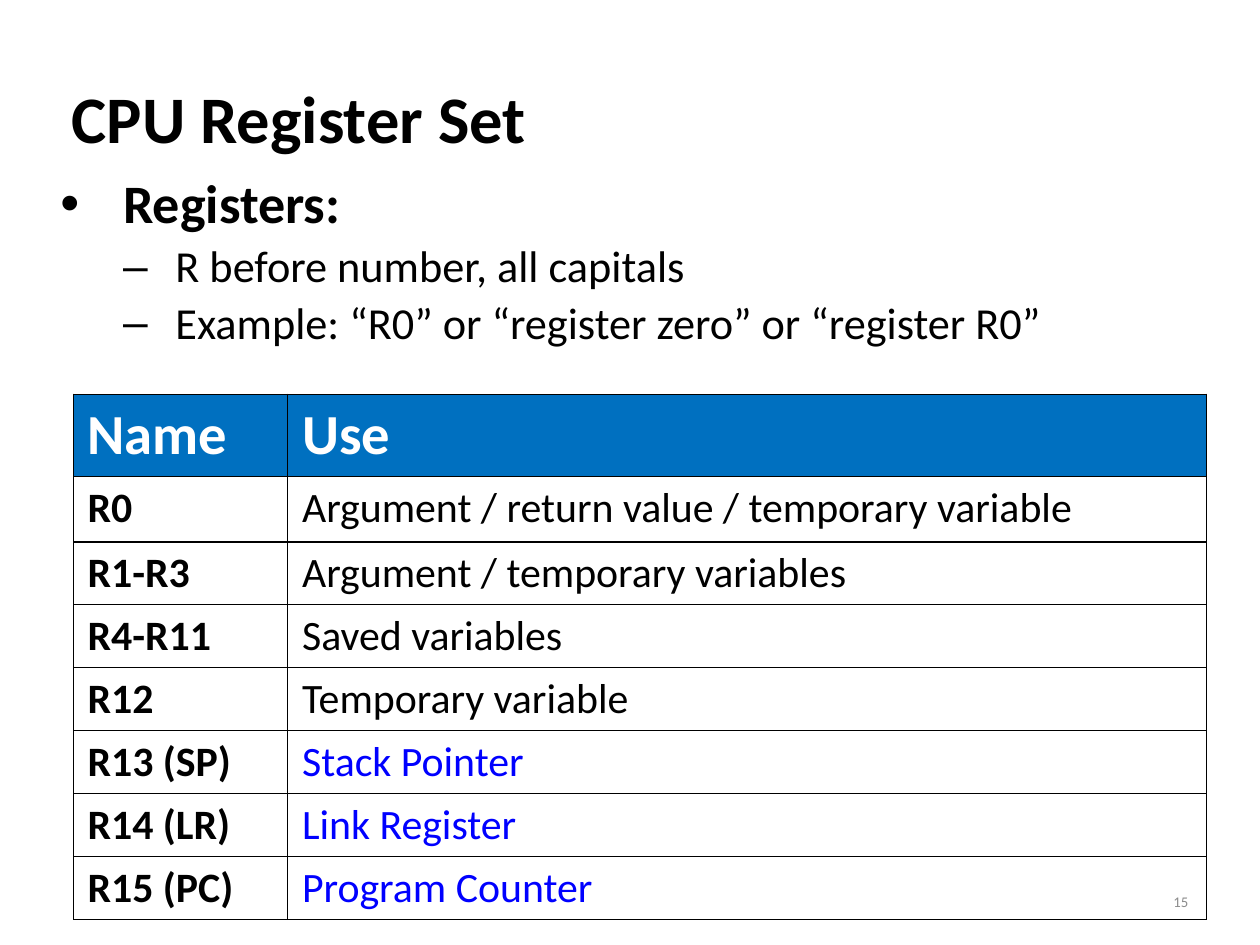
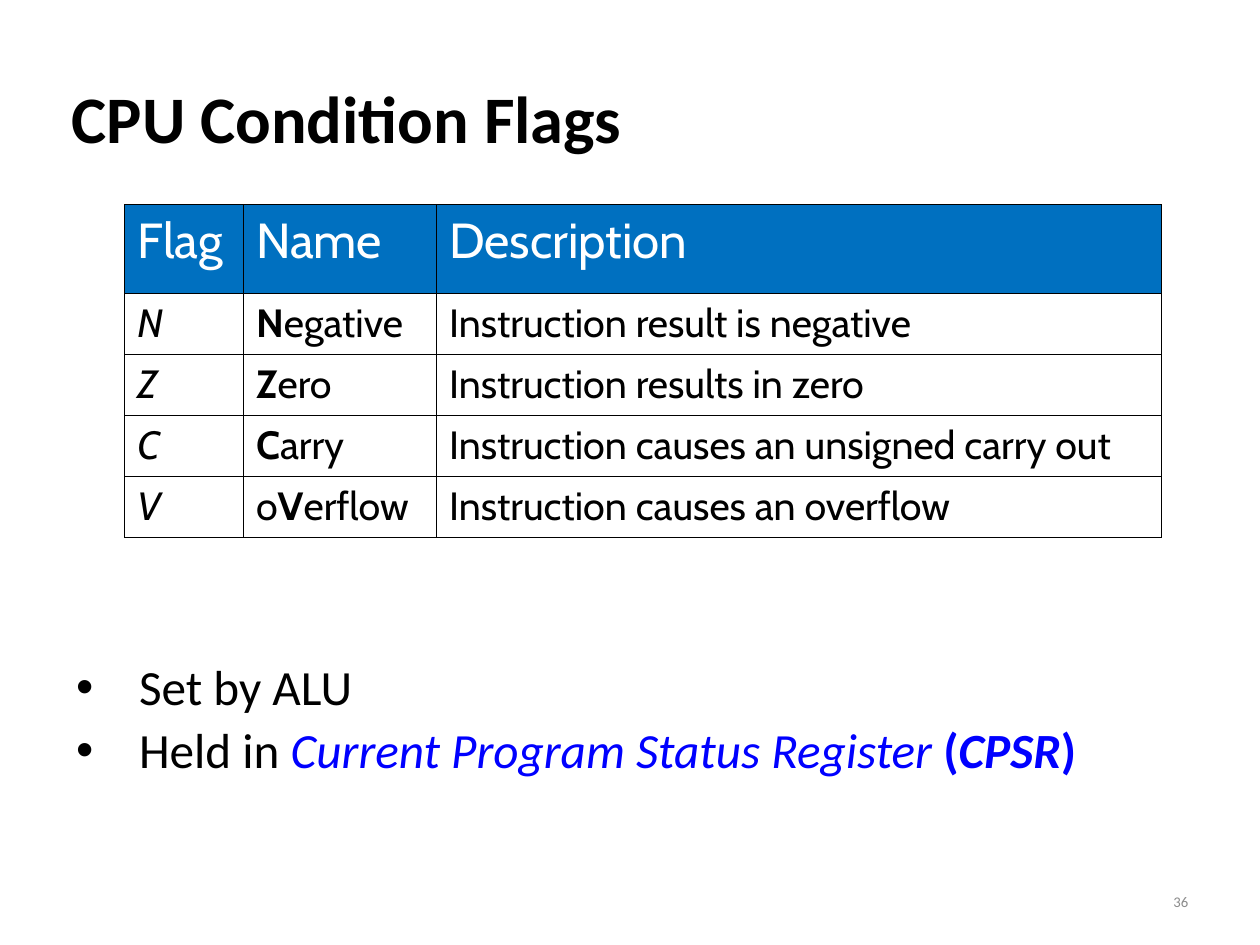
from dataclasses import dataclass
from typing import Optional

from lxml.etree import SubElement
from pptx import Presentation
from pptx.dml.color import RGBColor
from pptx.enum.text import MSO_ANCHOR, PP_ALIGN
from pptx.oxml.ns import qn
from pptx.util import Inches, Pt


@dataclass(frozen=True)
class Theme:
    black: str = "000000"
    white: str = "FFFFFF"
    header: str = "0070C0"
    accent: str = "0000FF"
    grey: str = "8C8C8C"
    font: str = "Calibri"
    flag_font: str = "Cabin"
    title: int = 54
    number: int = 12
    heading: int = 44
    detail: int = 36
    point: int = 40


THEME = Theme()


@dataclass(frozen=True)
class Run:
    text: str
    bold: Optional[bool] = None
    italic: Optional[bool] = None
    color: Optional[str] = None


@dataclass(frozen=True)
class Style:
    size: int
    font: str = THEME.font
    color: str = THEME.black
    bold: bool = False
    italic: bool = False


@dataclass(frozen=True)
class Bullet:
    runs: tuple
    style: Style
    char: str = "•"
    left: float = 0.71
    hanging: float = 0.71


@dataclass(frozen=True)
class Cell:
    runs: tuple
    style: Style
    fill: Optional[str] = None


@dataclass(frozen=True)
class Grid:
    left: float
    top: float
    cols: tuple
    rows: tuple
    inset: float
    hanging: float = 0


# Text
def set_indent(p, left: float, hanging: float) -> None:
    p_pr = p._p.get_or_add_pPr()
    p_pr.set("marL", str(Inches(left)))
    p_pr.set("indent", str(-Inches(hanging)))


def write(p, runs: tuple, style: Style) -> None:
    f = p.font
    f.name, f.size = style.font, Pt(style.size)
    f.bold, f.italic = style.bold, style.italic
    f.color.rgb = RGBColor.from_string(style.color)
    for run in runs:
        r = p.add_run()
        r.text = run.text
        if run.bold is not None:
            r.font.bold = run.bold
        if run.italic is not None:
            r.font.italic = run.italic
        if run.color:
            r.font.color.rgb = RGBColor.from_string(run.color)


def add_box(s, left: float, top: float, width: float, height: float):
    sp = s.shapes.add_textbox(*map(Inches, (left, top, width, height)))
    sp.text_frame.word_wrap = True
    return sp.text_frame


def add_line(s, box: tuple, text: str, style: Style, align=PP_ALIGN.LEFT) -> None:
    tf = add_box(s, *box)
    tf.vertical_anchor = MSO_ANCHOR.MIDDLE
    p = tf.paragraphs[0]
    p.alignment = align
    write(p, (Run(text),), style)


def add_bullets(s, box: tuple, bullets: list[Bullet]) -> None:
    tf = add_box(s, *box)
    tf.margin_left = tf.margin_right = Inches(0.14)
    tf.margin_top = tf.margin_bottom = Inches(0.07)
    for i, b in enumerate(bullets):
        p = tf.add_paragraph() if i else tf.paragraphs[0]
        set_indent(p, b.left, b.hanging)
        p.line_spacing = 0.9
        p.space_before = Pt(0.2 * b.style.size if i else 0)
        p_pr = p._p.get_or_add_pPr()
        SubElement(p_pr, qn("a:buFont")).set("typeface", "Arial")
        SubElement(p_pr, qn("a:buChar")).set("char", b.char)
        write(p, b.runs, b.style)


# Tables
def set_borders(cell) -> None:
    tc_pr = cell._tc.get_or_add_tcPr()
    for side in "LRTB":
        ln = SubElement(tc_pr, qn(f"a:ln{side}"))
        ln.set("w", str(Pt(1)))
        fill = SubElement(ln, qn("a:solidFill"))
        SubElement(fill, qn("a:srgbClr")).set("val", THEME.black)


def add_grid(s, grid: Grid, cells: list[list[Cell]]) -> None:
    size = (grid.left, grid.top, sum(grid.cols), sum(grid.rows))
    table = s.shapes.add_table(
        len(grid.rows), len(grid.cols), *map(Inches, size)).table
    table.first_row = table.horz_banding = False
    for col, width in zip(table.columns, grid.cols):
        col.width = Inches(width)
    for row, height, contents in zip(table.rows, grid.rows, cells):
        row.height = Inches(height)
        for cell, content in zip(row.cells, contents):
            cell.margin_left = cell.margin_right = Inches(grid.inset)
            cell.margin_top = cell.margin_bottom = Inches(0.07)
            set_borders(cell)
            if content.fill:
                cell.fill.solid()
                cell.fill.fore_color.rgb = RGBColor.from_string(content.fill)
            else:
                cell.fill.background()
            p = cell.text_frame.paragraphs[0]
            if grid.hanging:
                set_indent(p, grid.hanging, grid.hanging)
            write(p, content.runs, content.style)


def header_row(labels: tuple, style: Style) -> list[Cell]:
    return [Cell((Run(label),), style, THEME.header) for label in labels]


# Shared slide frame
def new_slide(prs, title: str):
    s = prs.slides.add_slide(prs.slide_layouts[6])
    add_line(s, (0.71, 0.43, 12.8, 1.78), title, Style(THEME.title, bold=True))
    return s


def add_number(s, number: int) -> None:
    add_line(s, (10.19, 9.89, 3.32, 0.57), str(number),
             Style(THEME.number, color=THEME.grey), PP_ALIGN.RIGHT)


# Slides
def register_slide(prs) -> None:
    s = new_slide(prs, "CPU Register Set")
    detail = Style(THEME.detail)
    details = ("R before number, all capitals",
               "Example: “R0” or “register zero” or “register R0”")
    add_bullets(s, (0.54, 1.93, 12.85, 2.4), [
        Bullet((Run("Registers:"),), Style(THEME.heading, bold=True)),
        *(Bullet((Run(t),), detail, "–", 1.3, 0.59) for t in details),
    ])

    name = Style(34, bold=True)
    general, special = Style(34), Style(34, color=THEME.accent)
    registers = [
        ("R0", "Argument / return value / temporary variable", general),
        ("R1-R3", "Argument / temporary variables", general),
        ("R4-R11", "Saved variables", general),
        ("R12", "Temporary variable", general),
        ("R13 (SP)", "Stack Pointer", special),
        ("R14 (LR)", "Link Register", special),
        ("R15 (PC)", "Program Counter", special),
    ]
    cells = [header_row(("Name", "Use"), Style(46, color=THEME.white, bold=True))]
    cells += [[Cell((Run(reg),), name), Cell((Run(use),), style)]
              for reg, use, style in registers]
    rows = (0.93, 0.74) + (0.71,) * 6
    add_grid(s, Grid(0.83, 4.45, (2.42, 10.37), rows, 0.16, 0.38), cells)
    add_number(s, 15)


def flag_slide(prs) -> None:
    s = new_slide(prs, "CPU Condition Flags")
    plain = Style(32, THEME.flag_font)
    italic = Style(32, THEME.flag_font, italic=True)
    flags = [
        ("N", "", "egative", "Instruction result is negative"),
        ("Z", "", "ero", "Instruction results in zero"),
        ("C", "", "arry", "Instruction causes an unsigned carry out"),
        ("V", "o", "erflow", "Instruction causes an overflow"),
    ]
    cells = [header_row(("Flag", "Name", "Description"),
                        Style(40, THEME.flag_font, THEME.white))]
    for flag, before, after, description in flags:
        name = (Run(before),) if before else ()
        name += (Run(flag, bold=True), Run(after))
        cells.append([Cell((Run(flag),), italic, THEME.white),
                      Cell(name, plain, THEME.white),
                      Cell((Run(description),), plain, THEME.white)])
    rows = (1,) + (0.69,) * len(flags)
    add_grid(s, Grid(1.41, 2.31, (1.34, 2.18, 8.18), rows, 0.14), cells)

    point = Style(THEME.point)
    blue = THEME.accent
    add_bullets(s, (0.72, 7.42, 13.39, 1.91), [
        Bullet((Run("Set by ALU"),), point),
        Bullet((Run("Held in "),
                Run("Current Program Status Register ", italic=True, color=blue),
                Run("(", bold=True, color=blue),
                Run("CPSR", bold=True, italic=True, color=blue),
                Run(")", bold=True, color=blue)), point),
    ])
    add_number(s, 36)


def main() -> None:
    prs = Presentation()
    prs.slide_width, prs.slide_height = Inches(14.22), Inches(10.67)
    register_slide(prs)
    flag_slide(prs)
    prs.save("out.pptx")


if __name__ == "__main__":
    main()
